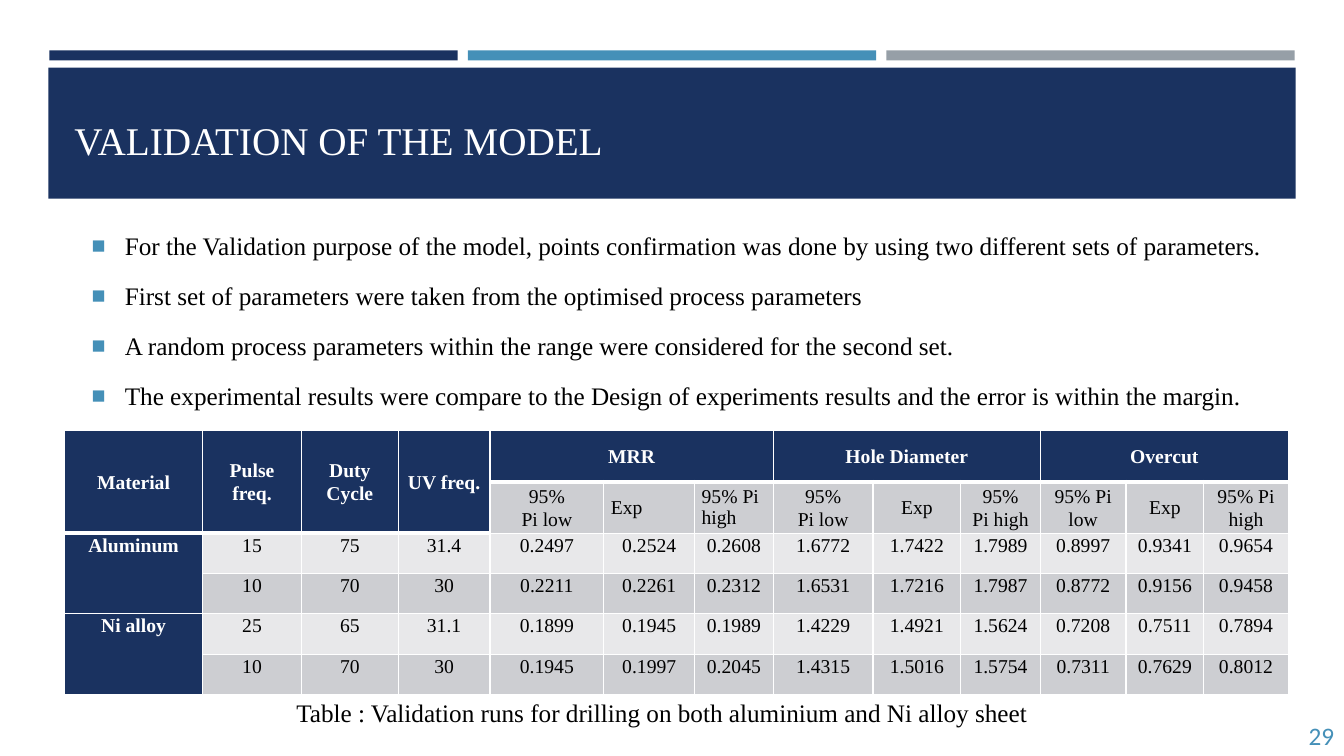
from dataclasses import dataclass

from lxml import etree
from pptx import Presentation, util as u
from pptx.dml.color import RGBColor
from pptx.enum import shapes, text
from pptx.oxml import ns

PX = 9144  # EMU in one px, 100 px to the inch


@dataclass(frozen=True)
class Theme:
    navy: str = "1A3260"
    blue: str = "4590B8"
    grey: str = "969FA7"
    dark: str = "CDCED2"
    pale: str = "E8E8EA"
    white: str = "FFFFFF"
    black: str = "000000"
    serif: str = "Times New Roman"
    sans: str = "Calibri"
    head: int = 28
    body: int = 18
    cell: int = 14
    line: float = 1.07


T = Theme()
MID, LEFT, RIGHT = text.PP_ALIGN.CENTER, text.PP_ALIGN.LEFT, text.PP_ALIGN.RIGHT

TITLE = "VALIDATION OF THE MODEL"
POINTS = [
    "For the Validation purpose of the model, points confirmation was done by using two different sets of parameters.",
    "First set of parameters were taken from the optimised process parameters",
    "A random process parameters within the range were considered for the second set.",
    "The experimental results were compare to the Design of experiments results and the error is within the margin.",
]
CAPTION = "Table : Validation runs for drilling on both aluminium and Ni alloy sheet"

COLS = [137, 98, 96, 91, 113, 90, 78, 99, 87, 79, 85, 77, 84]
ROWS = [51, 51, 40, 40, 40, 40]
KEYS = 4  # columns ahead of the measured groups
HEADS = ["Material", "Pulse freq.", "Duty Cycle", "UV freq."]
GROUPS = {
    "MRR": ["95%\nPi low", "Exp", "95% Pi high"],
    "Hole Diameter": ["95%\nPi low", "Exp", "95%\nPi high"],
    "Overcut": ["95% Pi low", "Exp", "95% Pi high"],
}
RUNS = [
    "Aluminum 15 75 31.4 0.2497 0.2524 0.2608 1.6772 1.7422 1.7989 0.8997 0.9341 0.9654".split(),
    ". 10 70 30 0.2211 0.2261 0.2312 1.6531 1.7216 1.7987 0.8772 0.9156 0.9458".split(),
    ["Ni alloy"] + "25 65 31.1 0.1899 0.1945 0.1989 1.4229 1.4921 1.5624 0.7208 0.7511 0.7894".split(),
    ". 10 70 30 0.1945 0.1997 0.2045 1.4315 1.5016 1.5754 0.7311 0.7629 0.8012".split(),
]


def emu(*nums):
    return [u.Emu(n * PX) for n in nums]


def style(para, size, color, face=T.serif, bold=False):
    for run in para.runs:
        font = run.font
        font.size, font.name, font.bold = u.Pt(size), face, bold
        font.color.rgb = RGBColor.from_string(color)


def bar(slide, box, color):
    rect = slide.shapes.add_shape(shapes.MSO_SHAPE.RECTANGLE, *emu(*box))
    rect.shadow.inherit = False
    rect.fill.solid()
    rect.fill.fore_color.rgb = RGBColor.from_string(color)
    rect.line.fill.background()


def label(slide, box, words, size, color, face=T.serif, align=LEFT,
          anchor=text.MSO_ANCHOR.TOP):
    frame = slide.shapes.add_textbox(*emu(*box)).text_frame
    frame.word_wrap = True
    frame.vertical_anchor = anchor
    frame.text = words
    for para in frame.paragraphs:
        para.alignment = align
        style(para, size, color, face)
    return frame


def banner(slide, box):
    """Three thin strips above a navy block that holds the title."""
    left, top, wide, high = box
    for i, color in enumerate((T.navy, T.blue, T.grey)):
        bar(slide, (left + 1 + i * 415, top, 405, 10), color)
    bar(slide, (left, top + 17, wide, high - 17), T.navy)
    label(slide, (left + 16, top + 6, wide - 31, 111), TITLE, T.head, T.white,
          anchor=text.MSO_ANCHOR.BOTTOM)


def bullet(para):
    props = para._p.get_or_add_pPr()
    hang = 33 * PX
    props.set("marL", str(50 * PX))
    props.set("indent", str(-hang))
    color = etree.SubElement(props, ns.qn("a:buClr"))
    etree.SubElement(color, ns.qn("a:srgbClr"), val=T.blue)
    etree.SubElement(props, ns.qn("a:buSzPct"), val="92000")
    etree.SubElement(props, ns.qn("a:buFont"), typeface="Arial")
    etree.SubElement(props, ns.qn("a:buChar"), char="■")


def points(slide, box):
    frame = label(slide, box, "\n".join(POINTS), T.body, T.black,
                  align=text.PP_ALIGN.JUSTIFY)
    frame.margin_top = u.Emu(19 * PX)
    for i, para in enumerate(frame.paragraphs):
        bullet(para)
        para.line_spacing = T.line
        para.space_before = u.Pt(4.7 if i else 0)
        para.space_after = u.Pt(8)


def edges(cell, top, base):
    """White borders; top and base are widths in points."""
    props = cell._tc.get_or_add_tcPr()
    for side, wide in zip("LRTB", (1, 1, top, base)):
        line = etree.SubElement(props, ns.qn("a:ln" + side), w=str(u.Pt(wide)))
        fill = etree.SubElement(line, ns.qn("a:solidFill"))
        etree.SubElement(fill, ns.qn("a:srgbClr"), val=T.white)


def paint(cell, row, col):
    """Style one cell by its place in the grid."""
    key = row == 0 or col == 0 or (row == 1 and col < KEYS)
    under = row == 1 or (row == 2 and col < KEYS)
    over = row == 0 or (row == 1 and col < KEYS)
    edges(cell, 3 if under else 1, 3 if over else 1)
    cell.fill.solid()
    shade = T.navy if key else T.dark if row % 2 else T.pale
    cell.fill.fore_color.rgb = RGBColor.from_string(shade)
    cell.margin_left = cell.margin_right = u.Emu(7 * PX)
    cell.margin_top = cell.margin_bottom = 0
    cell.vertical_anchor = text.MSO_ANCHOR.MIDDLE if row < 2 else text.MSO_ANCHOR.TOP
    plain = row == 1 and col in (KEYS + 1, KEYS + 2)
    for para in cell.text_frame.paragraphs:
        para.alignment = LEFT if plain else MID
        para.line_spacing = 1.0 if plain else T.line
        style(para, T.cell, T.white if key else T.black, bold=key)


def results(slide, box):
    grid = slide.shapes.add_table(len(ROWS), len(COLS), *emu(*box)).table
    for col, wide in zip(grid.columns, COLS):
        col.width = u.Emu(wide * PX)
    for row, high in zip(grid.rows, ROWS):
        row.height = u.Emu(high * PX)

    for col, head in enumerate(HEADS):
        grid.cell(0, col).text = head
        grid.cell(0, col).merge(grid.cell(1, col))
    for i, (name, subs) in enumerate(GROUPS.items()):
        first = KEYS + 3 * i
        grid.cell(0, first).text = name
        grid.cell(0, first).merge(grid.cell(0, first + 2))
        for j, sub in enumerate(subs):
            grid.cell(1, first + j).text = sub
    for row, vals in enumerate(RUNS, 2):
        for col, val in enumerate(vals):
            if val != ".":
                grid.cell(row, col).text = val
    for row in (2, 4):
        grid.cell(row, 0).merge(grid.cell(row + 1, 0))

    for row in range(len(ROWS)):
        for col in range(len(COLS)):
            paint(grid.cell(row, col), row, col)


def main():
    deck = Presentation()
    deck.slide_width, deck.slide_height = emu(1333, 750)
    slide = deck.slides.add_slide(deck.slide_layouts[6])
    banner(slide, (48, 50, 1237, 147))
    points(slide, (64, 207, 1206, 252))
    label(slide, (1218, 710, 115, 40), "29", T.body, T.blue, T.sans, RIGHT,
          text.MSO_ANCHOR.MIDDLE)
    results(slide, (64, 427, sum(COLS), sum(ROWS)))
    label(slide, (284, 687, 765, 40), CAPTION, T.body, T.black)
    deck.save("out.pptx")


if __name__ == "__main__":
    main()
